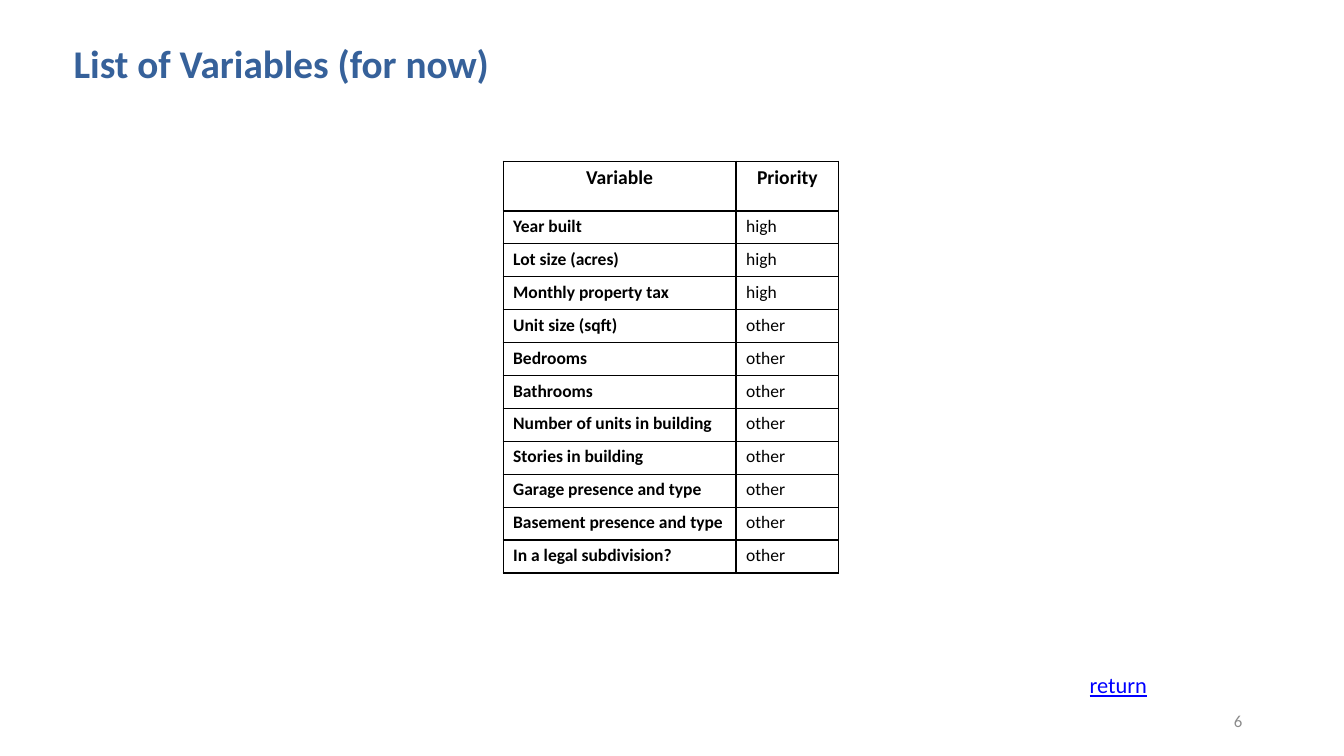
import pptx
import pptx.util
import pptx.oxml
import pptx.dml.color
import pptx.enum.text
from dataclasses import dataclass


@dataclass(frozen=True)
class Theme:
    face: str = "Calibri"
    title: str = "36619A"
    ink: str = "000000"
    paper: str = "FFFFFF"
    link: str = "0000FF"
    muted: str = "8B8B8B"
    title_size: float = 28
    link_size: float = 16
    header_size: float = 14
    body_size: float = 12.5
    number_size: float = 12
    thin: float = 1
    thick: float = 1.5


theme = Theme()
inches = pptx.util.Inches
align = pptx.enum.text.PP_ALIGN
anchor = pptx.enum.text.MSO_ANCHOR


def write(frame, text, size, color, bold=False, alignment=align.LEFT):
    frame.text = text
    para = frame.paragraphs[0]
    para.alignment = alignment
    para.font.name = theme.face
    para.font.size = pptx.util.Pt(size)
    para.font.bold = bold
    para.font.color.rgb = pptx.dml.color.RGBColor.from_string(color)
    return para


def add_border(cell, side, width):
    cell._tc.get_or_add_tcPr().append(pptx.oxml.parse_xml(
        f'<a:ln{side} xmlns:a="http://schemas.openxmlformats.org/drawingml/2006/main" '
        f'w="{pptx.util.Pt(width)}"><a:solidFill><a:srgbClr val="{theme.ink}"/>'
        f'</a:solidFill></a:ln{side}>'))


deck = pptx.Presentation()
deck.slide_width, deck.slide_height = inches(13.33), inches(7.5)
page = deck.slides.add_slide(deck.slide_layouts[5])

# Title
title = page.shapes.title
title.left, title.top = inches(0.63), inches(0.39)
title.width, title.height = inches(7.9), inches(0.5)
title.text_frame.auto_size = pptx.enum.text.MSO_AUTO_SIZE.NONE
title.text_frame.vertical_anchor = anchor.TOP
para = write(title.text_frame, "List of Variables (for now)",
             theme.title_size, theme.title, bold=True)
para.line_spacing = 0.9

# Variables and their priority
rows = [
    ("Variable", "Priority"),
    ("Year built", "high"),
    ("Lot size (acres)", "high"),
    ("Monthly property tax", "high"),
    ("Unit size (sqft)", "other"),
    ("Bedrooms", "other"),
    ("Bathrooms", "other"),
    ("Number of units in building", "other"),
    ("Stories in building", "other"),
    ("Garage presence and type", "other"),
    ("Basement presence and type", "other"),
    ("In a legal subdivision?", "other"),
]
column_widths = (2.31, 1.02)
header_height, row_height = 0.49, 0.327
table = page.shapes.add_table(
    len(rows), len(column_widths), inches(4.99), inches(1.6),
    inches(sum(column_widths)),
    inches(header_height + row_height * (len(rows) - 1))).table
table.first_row = table.horz_banding = False
for column, width in zip(table.columns, column_widths):
    column.width = inches(width)

for r, values in enumerate(rows):
    header = r == 0
    table.rows[r].height = inches(header_height if header else row_height)
    for c, value in enumerate(values):
        cell = table.cell(r, c)
        write(cell.text_frame, value,
              theme.header_size if header else theme.body_size, theme.ink,
              bold=header or c == 0,
              alignment=align.CENTER if header else align.LEFT)
        for side in "LRTB":
            under_header = (r, side) in ((0, "B"), (1, "T"))
            add_border(cell, side, theme.thick if under_header else theme.thin)
        cell.fill.solid()
        cell.fill.fore_color.rgb = pptx.dml.color.RGBColor.from_string(theme.paper)

# Return label
box = page.shapes.add_textbox(inches(10.71), inches(6.61), inches(0.96), inches(0.37))
box.text_frame.word_wrap = True
para = write(box.text_frame, "return", theme.link_size, theme.link)
para.font.underline = True

# Page number
box = page.shapes.add_textbox(inches(9.42), inches(6.95), inches(3), inches(0.4))
box.text_frame.word_wrap = True
box.text_frame.vertical_anchor = anchor.MIDDLE
write(box.text_frame, "6", theme.number_size, theme.muted, alignment=align.RIGHT)

deck.save("out.pptx")
